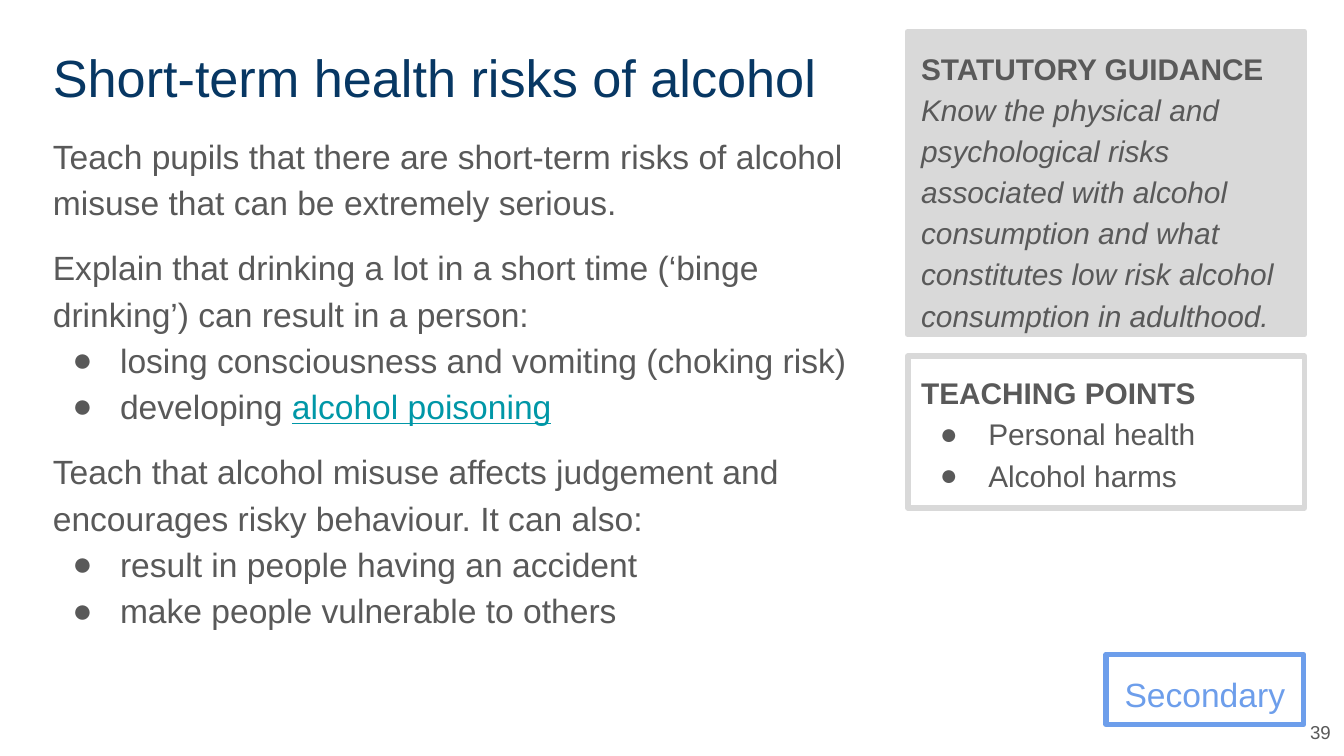
from pptx import Presentation
from pptx.dml.color import RGBColor
from pptx.enum.shapes import MSO_SHAPE as Shape
from pptx.enum.text import MSO_ANCHOR as Anchor, PP_ALIGN as Align
from pptx.oxml.ns import qn
from pptx.util import Pt
from lxml.etree import SubElement

PX = 4572  # EMU per px, 200 px to the inch
FONT = "Arial"
NAVY = RGBColor(0x07, 0x37, 0x63)
GREY = RGBColor(0x59, 0x59, 0x59)
LIGHT_GREY = RGBColor(0xD9, 0xD9, 0xD9)
TEAL = RGBColor(0x00, 0x97, 0xA7)
BLUE = RGBColor(0x6D, 0x9E, 0xEB)

INSET = 20
MARGIN = 59
TOP = 48
SIDE_LEFT, SIDE_WIDTH = 1351, 590
LINE_SPACING = 1.15


def px(*lengths):
    return [length * PX for length in lengths]


def prepare_frame(shape, anchor=Anchor.TOP):
    frame = shape.text_frame
    frame.word_wrap = True
    frame.vertical_anchor = anchor
    frame.margin_left = frame.margin_right = INSET * PX
    frame.margin_top = frame.margin_bottom = INSET * PX
    return frame


def add_text_box(slide, left, top, width, height, anchor=Anchor.TOP):
    box = slide.shapes.add_textbox(*px(left, top, width, height))
    return prepare_frame(box, anchor)


def add_panel(slide, left, top, width, height, line, fill=None):
    """Add an outlined rectangle and return its text frame."""
    panel = slide.shapes.add_shape(Shape.RECTANGLE, *px(left, top, width, height))
    panel.shadow.inherit = False
    if fill is None:
        panel.fill.background()
    else:
        panel.fill.solid()
        panel.fill.fore_color.rgb = fill
    panel.line.color.rgb = line
    panel.line.width = Pt(3)
    SubElement(panel.line._ln, qn("a:round"))
    return prepare_frame(panel)


def add_paragraph(frame, text, size, color=GREY, spacing=LINE_SPACING,
                  before=0, align=Align.LEFT):
    first = frame.paragraphs[0]
    paragraph = frame.add_paragraph() if first.runs else first
    paragraph.add_run().text = text
    paragraph.alignment = align
    paragraph.line_spacing = spacing
    paragraph.space_before = Pt(before)
    paragraph.font.name = FONT
    paragraph.font.size = Pt(size)
    paragraph.font.color.rgb = color
    return paragraph


def add_bullet(frame, text, size, hang):
    paragraph = add_paragraph(frame, text, size)
    properties = paragraph._p.get_or_add_pPr()
    properties.set("marL", str(100 * PX))
    properties.set("indent", str(-hang * PX))
    color = SubElement(properties, qn("a:buClr"))
    SubElement(color, qn("a:srgbClr"), val=str(GREY))
    font = SubElement(properties, qn("a:buFont"), typeface=FONT)
    bullet = SubElement(properties, qn("a:buChar"), char="●")
    run_defaults = properties.find(qn("a:defRPr"))
    for element in (color, font, bullet):
        run_defaults.addprevious(element)
    return paragraph


def add_body(slide):
    frame = add_text_box(slide, MARGIN, 173, 1264, 802)
    size, hang = 18, 71
    add_paragraph(frame, "Teach pupils that there are short-term risks of alcohol "
                  "misuse that can be extremely serious.", size)
    add_paragraph(frame, "Explain that drinking a lot in a short time (‘binge "
                  "drinking’) can result in a person:", size, before=10)
    add_bullet(frame, "losing consciousness and vomiting (choking risk)", size, hang)
    link = add_bullet(frame, "developing ", size, hang).add_run()
    link.text = "alcohol poisoning"
    link.font.color.rgb = TEAL
    link.font.underline = True
    add_paragraph(frame, "Teach that alcohol misuse affects judgement and "
                  "encourages risky behaviour. It can also:", size, before=10)
    for risk in ("result in people having an accident",
                 "make people vulnerable to others"):
        add_bullet(frame, risk, size, hang)


def add_guidance(slide):
    frame = add_panel(slide, SIDE_LEFT, TOP - 1, SIDE_WIDTH, 451,
                      LIGHT_GREY, LIGHT_GREY)
    paragraph = add_paragraph(frame, "STATUTORY GUIDANCE", 16)
    paragraph.runs[0].font.bold = True
    paragraph.add_line_break()
    guidance = paragraph.add_run()
    guidance.text = ("Know the physical and psychological risks associated with "
                     "alcohol consumption and what constitutes low risk alcohol "
                     "consumption in adulthood.")
    guidance.font.italic = True


def add_teaching_points(slide):
    frame = add_panel(slide, SIDE_LEFT, 530, SIDE_WIDTH, 226, LIGHT_GREY)
    add_paragraph(frame, "TEACHING POINTS", 16).font.bold = True
    for point in ("Personal health", "Alcohol harms"):
        add_bullet(frame, point, 16, 72)


def main():
    presentation = Presentation()
    presentation.slide_width, presentation.slide_height = px(2000, 1125)
    slide = presentation.slides.add_slide(presentation.slide_layouts[6])

    title = add_text_box(slide, MARGIN, TOP, 1282, 126)
    add_paragraph(title, "Short-term health risks of alcohol", 28, NAVY, spacing=1)
    add_body(slide)
    add_guidance(slide)
    add_teaching_points(slide)
    stage = add_panel(slide, 1646, 974, 294, 104, BLUE)
    add_paragraph(stage, "Secondary", 18, BLUE, align=Align.CENTER)
    number = add_text_box(slide, 1922, 1052, 78, 74, Anchor.MIDDLE)
    add_paragraph(number, "39", 10, spacing=1, align=Align.RIGHT)

    presentation.save("out.pptx")


if __name__ == "__main__":
    main()
